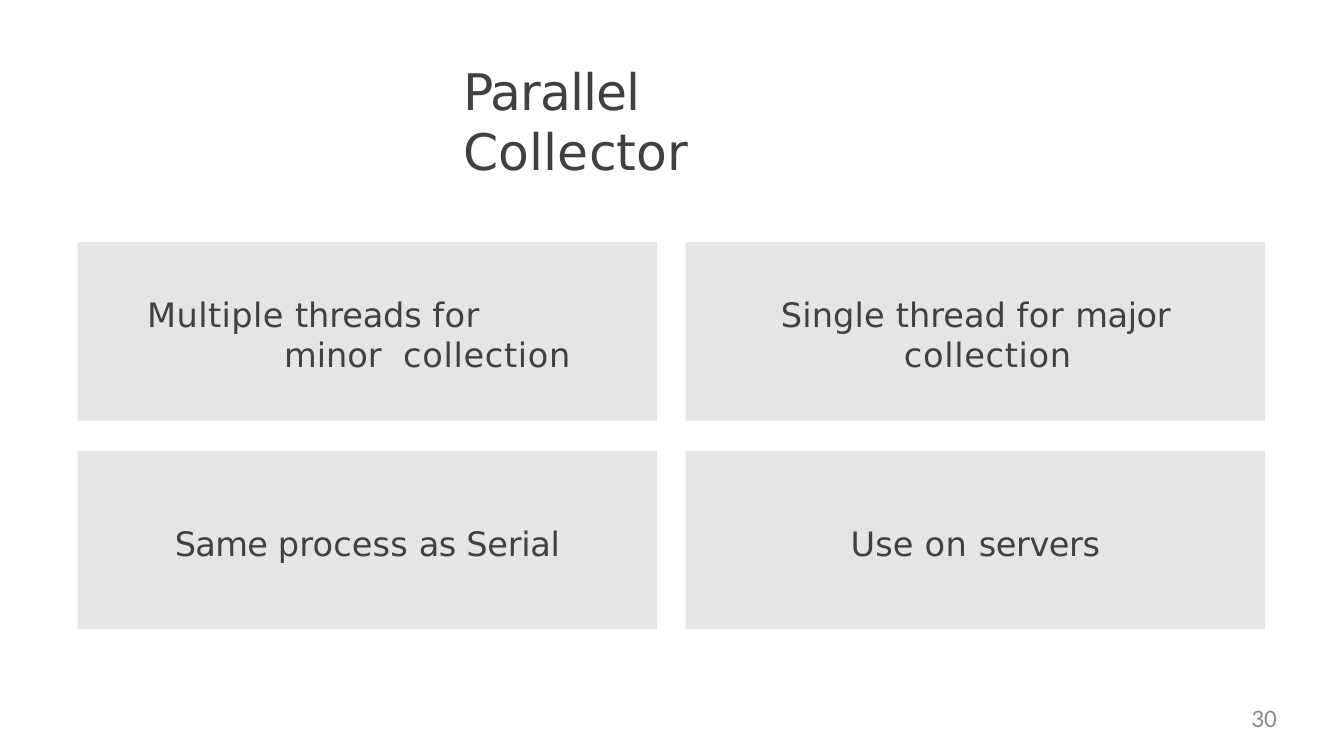
from pptx import Presentation
from pptx.dml.color import RGBColor
from pptx.enum import shapes, text
from pptx.util import Cm, Pt


def color(value):
    return RGBColor.from_string(value)


def write(paragraph, words, size, font="DejaVu Sans", ink="404040"):
    """Add one run per (text, letter spacing in points) pair."""
    for word, tracking in words:
        run = paragraph.add_run()
        run.text = word
        for name, value in {"size": Pt(size), "name": font}.items():
            setattr(run.font, name, value)
        run.font.color.rgb = color(ink)
        run.font._element.set("spc", str(round(tracking * 100)))


deck = Presentation()
deck.slide_width, deck.slide_height = Cm(33.87), Cm(19.05)
slide = deck.slides.add_slide(deck.slide_layouts[5])

no_margins = {"margin_left": 0, "margin_top": 0, "margin_right": 0, "margin_bottom": 0,
              "word_wrap": True}

# Title
title = slide.shapes.title
title.left, title.top, title.width, title.height = Cm(11.53), Cm(1.45), Cm(10.54), Cm(1.6)
frame_format = no_margins | {"margin_left": Cm(0.15), "margin_top": Cm(0.06),
                             "vertical_anchor": text.MSO_ANCHOR.TOP,
                             "auto_size": text.MSO_AUTO_SIZE.NONE}
for name, value in frame_format.items():
    setattr(title.text_frame, name, value)
heading = title.text_frame.paragraphs[0]
heading.alignment = text.PP_ALIGN.LEFT
write(heading, [("Parallel ", -0.7), ("Collector", 0.1)], 36)

# Four facts in a two by two grid: words, then hanging layout (left, first line, right) in cm
facts = [
    ([("Multiple ", 0.3), ("threads ", -0.1), ("for ", 0.3), ("minor  ", 0),
      ("collection", 0.5)], (5.2, -3.45, 1.95)),
    ([("Single ", 0.1), ("thread ", 0), ("for ", 0.3), ("major ", -0.3),
      ("collection", 0.5)], (5.5, -3.1, 0)),
    ([("Same ", -0.5), ("process ", 0.1), ("as ", -0.5), ("Serial", -0.2)], None),
    ([("Use ", 0.1), ("on ", 0.4), ("servers", -0.3)], None),
]
card_width, card_height = 14.6, 4.5
column_step, row_step = 15.32, 5.26

for index, (words, hanging) in enumerate(facts):
    row, column = divmod(index, 2)
    card = slide.shapes.add_shape(
        shapes.MSO_SHAPE.RECTANGLE,
        Cm(1.96 + column * column_step), Cm(6.1 + row * row_step),
        Cm(card_width), Cm(card_height))
    card.shadow.inherit = False
    card.fill.solid()
    card.fill.fore_color.rgb = color("E5E5E5")
    card.line.fill.background()
    card_format = no_margins | {"margin_top": Cm(0.13),
                                "vertical_anchor": text.MSO_ANCHOR.MIDDLE}
    for name, value in card_format.items():
        setattr(card.text_frame, name, value)
    fact = card.text_frame.paragraphs[0]
    fact.alignment = text.PP_ALIGN.CENTER
    if hanging:
        fact.alignment = text.PP_ALIGN.LEFT
        fact.line_spacing = 1.01
        for name, length in zip(("marL", "indent", "marR"), hanging):
            fact._p.get_or_add_pPr().set(name, str(Cm(length)))
    write(fact, words, 24)

# Page number
page_number = slide.shapes.add_textbox(Cm(24.38), Cm(17.7), Cm(7.8), Cm(0.97))
for name, value in no_margins.items():
    setattr(page_number.text_frame, name, value)
number = page_number.text_frame.paragraphs[0]
number.alignment = text.PP_ALIGN.RIGHT
write(number, [("30", 0)], 18, "Calibri", "8C8C8C")

deck.save("out.pptx")
